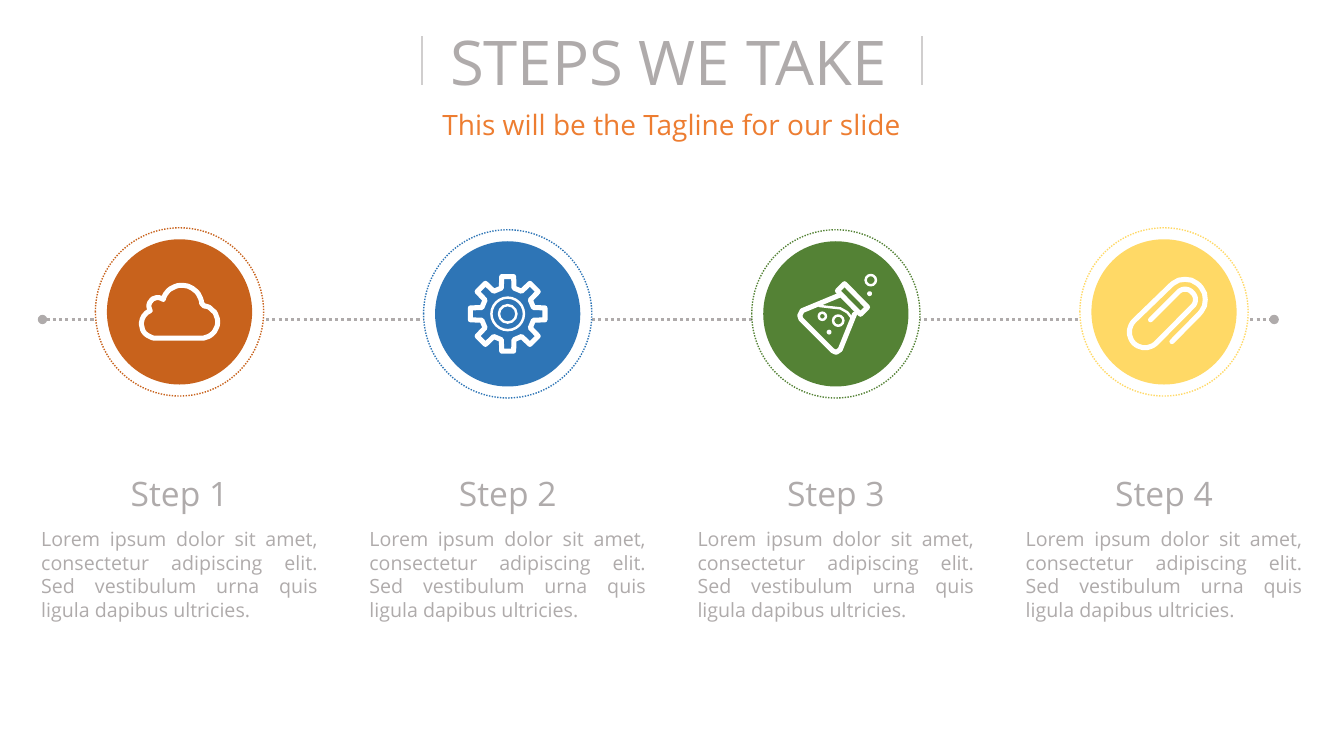
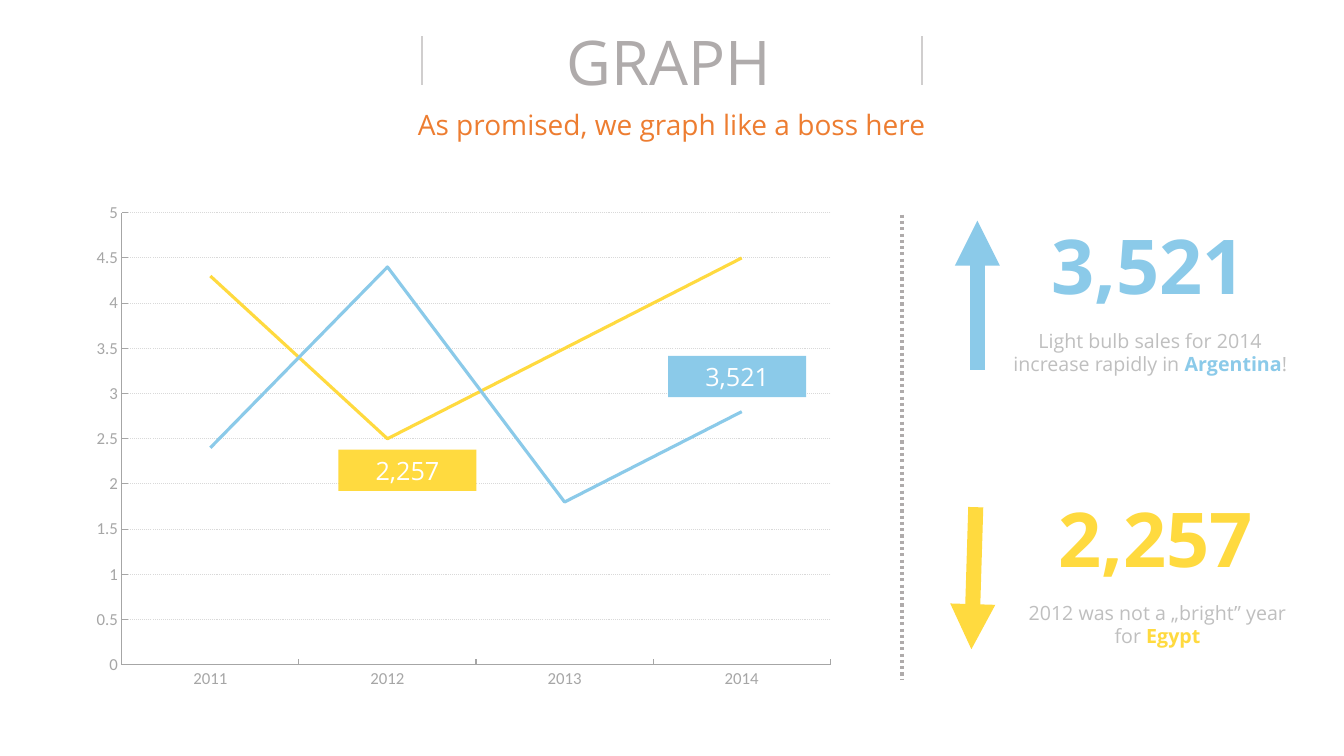
from math import cos, radians, sin

from lxml.etree import SubElement
from pptx import Presentation
from pptx.chart.data import CategoryChartData
from pptx.dml.color import RGBColor
from pptx.enum.chart import XL_CHART_TYPE as ChartType, XL_TICK_MARK as TickMark
from pptx.enum.dml import MSO_LINE as Dash
from pptx.enum.shapes import MSO_CONNECTOR as Connector, MSO_SHAPE as Shape
from pptx.enum.text import MSO_ANCHOR as Anchor, MSO_AUTO_SIZE as AutoSize, PP_ALIGN as Align
from pptx.oxml.ns import qn
from pptx.util import Cm, Pt

COLORS = {
    "grey": "AFABAB", "rule": "D0CECE", "accent": "ED7D31", "white": "FFFFFF",
    "rust": "C8621C", "blue": "2E75B6", "green": "548235", "gold": "FFD966",
    "sky": "8BCAE9", "yellow": "FFDA3F", "note": "BFBFBF",
    "axis": "A6A6A6", "grid": "D9D9D9",
}
FONT = "Open Sans"
LOREM = ("Lorem ipsum dolor sit amet, consectetur adipiscing elit. "
         "Sed vestibulum urna quis ligula dapibus ultricies.")


def color(name):
    """Return the named palette colour."""
    return RGBColor.from_string(COLORS[name])


def style_font(font, size, tint, bold=False, name=FONT):
    """Format a font."""
    font.name, font.size, font.bold = name, Pt(size), bold
    font.color.rgb = color(tint)


def style_line(line, tint, width, dash=None):
    """Format a line or outline."""
    line.color.rgb = color(tint)
    line.width = Pt(width)
    if dash:
        line.dash_style = dash


def write(frame, text, size, tint, align=Align.CENTER, anchor=Anchor.TOP, bold=False):
    """Fill a text frame with one formatted paragraph and return it."""
    frame.text = text
    frame.word_wrap = True
    frame.auto_size = AutoSize.NONE
    frame.vertical_anchor = anchor
    para = frame.paragraphs[0]
    para.alignment = align
    para.space_before = Pt(0)
    style_font(para.runs[0].font, size, tint, bold)
    return para


def add_text(page, box, *args, **options):
    """Add a text box at box (left, top, width, height in cm)."""
    frame = page.shapes.add_textbox(*map(Cm, box)).text_frame
    return write(frame, *args, **options)


def add_line(page, start, end, tint, width, dash=None, head=None, tail=None):
    """Draw a straight line between two points in cm."""
    line = page.shapes.add_connector(Connector.STRAIGHT, *map(Cm, start + end))
    style_line(line.line, tint, width, dash)
    properties = line._element.spPr
    for tag, kind in (("a:headEnd", head), ("a:tailEnd", tail)):
        if kind:
            SubElement(properties.find(qn("a:ln")), qn(tag)).set("type", kind)
    SubElement(properties, qn("a:effectLst"))


def add_shape(page, kind, box, fill=None):
    """Add a plain preset shape without an outline."""
    shape = page.shapes.add_shape(kind, *map(Cm, box))
    shape.shadow.inherit = False
    shape.line.fill.background()
    if fill:
        shape.fill.solid()
        shape.fill.fore_color.rgb = color(fill)
    else:
        shape.fill.background()
    return shape


def add_circle(page, center, radius, fill=None):
    """Add a circle around a centre in cm."""
    x, y = center
    return add_shape(page, Shape.OVAL, (x - radius, y - radius, 2 * radius, 2 * radius), fill)


def add_heading(page, title, tagline):
    """Place the title, its side rules and the tagline."""
    headline, body = page.shapes.title, page.placeholders[1]
    for holder, box in ((headline, (5.44, 0.48, 22.83, 2.13)), (body, (8.53, 2.57, 16.79, 1.12))):
        holder.left, holder.top, holder.width, holder.height = map(Cm, box)
    write(headline.text_frame, title, 44, "grey")
    properties = write(body.text_frame, tagline, 20, "accent")._p.get_or_add_pPr()
    properties.set("marL", "0")
    properties.set("indent", "0")
    SubElement(properties, qn("a:buNone"))
    for x in (10.64, 23.24):
        add_line(page, (x, 0.91), (x, 2.13), "rule", 1.5)


def polar(x, y, radius, angle):
    """Return the point at an angle in degrees around a centre."""
    return x + radius * cos(radians(angle)), y + radius * sin(radians(angle))


def arc(x, y, radius, start, end, steps=20):
    """Return points along a circular arc."""
    return [polar(x, y, radius, start + (end - start) * i / steps) for i in range(steps + 1)]


def add_stroke(page, center, points, closed=True, width=3.6):
    """Draw a white outline through points in hundredths of a cm from the centre."""
    builder = page.shapes.build_freeform(*points[0], scale=Cm(0.01))
    builder.add_line_segments(points[1:], close=closed)
    shape = builder.convert_to_shape(*map(Cm, center))
    shape.shadow.inherit = False
    shape.fill.background()
    style_line(shape.line, "white", width)
    outline = shape._element.spPr.find(qn("a:ln"))
    outline.set("cap", "rnd")
    SubElement(outline, qn("a:round"))


def add_rings(page, center, rings):
    """Draw thin white rings given as (x, y, radius) in hundredths of a cm."""
    for x, y, radius in rings:
        middle = center[0] + x / 100, center[1] + y / 100
        style_line(add_circle(page, middle, radius / 100).line, "white", 1.75)


def draw_cloud(page, center):
    """Draw the cloud icon."""
    add_stroke(page, center, arc(-60, 30, 36, 90, 235) + arc(-55, -14, 22, 150, 310)
               + arc(6, -17, 50, 205, 355) + arc(55, 25, 41, 280, 450))


def draw_gear(page, center):
    """Draw the gear icon."""
    tooth = ((67, -14), (95, -9), (95, 9), (67, 14))
    add_stroke(page, center, [polar(0, 0, radius, turn + angle)
                              for turn in range(0, 360, 45) for radius, angle in tooth])
    add_rings(page, center, [(0, 0, 41), (0, 0, 22)])


def draw_flask(page, center):
    """Draw the flask icon with its bubbles."""
    body = [(9, -47), (-85, -8), (-91, 4), (-88, 13), (-8, 93), (1, 97), (11, 90), (47, 1)]
    cap = [(4, -58), (22, -76), (80, -17), (62, 1)]
    liquid = [(-42, -20), (-17, -17), (11, -14), (29, -4), (39, 9)]
    add_stroke(page, center, body, closed=False)
    add_stroke(page, center, cap)
    add_stroke(page, center, liquid, closed=False, width=1.75)
    add_rings(page, center, [(6, 17, 13), (88, -85, 13), (-34, 6, 9), (-17, 46, 3), (85, -51, 3)])


def draw_clip(page, center):
    """Draw the paper clip icon."""
    add_stroke(page, center, [(20, 75)] + arc(53, -31, 51, 45, -135) + arc(-48, 51, 39, 225, 45)
               + arc(53, -31, 26, 45, -135) + [(-34, 20)], closed=False)


def add_step(page, left, width, badge_y, heading, tint, draw_icon):
    """Place one step column: badge, heading and paragraph."""
    center = left + width / 2, badge_y
    style_line(add_circle(page, center, 2.12, "white").line, tint, 1, Dash.ROUND_DOT)
    add_circle(page, center, 1.83, tint)
    draw_icon(page, center)
    add_text(page, (center[0] - 1.88, 11.79, 3.76, 1.27), heading, 24, "grey")
    add_text(page, (left, 13.16, width, 2.64), LOREM, 14, "grey", Align.JUSTIFY)


def build_steps(page):
    """Build the slide with four steps on a timeline."""
    add_heading(page, "STEPS WE TAKE", "This will be the Tagline for our slide")
    add_line(page, (1.07, 8.05), (32.11, 8.05), "grey", 2.25, Dash.ROUND_DOT, "oval", "oval")
    steps = (("rust", 7.86, draw_cloud), ("blue", 7.91, draw_gear),
             ("green", 7.91, draw_flask), ("gold", 7.86, draw_clip))
    for index, (tint, badge_y, draw_icon) in enumerate(steps):
        add_step(page, 0.79 + 8.27 * index, 7.47, badge_y, f"Step {index + 1}", tint, draw_icon)


def add_sales_chart(page, box):
    """Add the line chart with its axes and fixed plot area."""
    data = CategoryChartData()
    data.categories = ["2011", "2012", "2013", "2014"]
    data.add_series("Series 1", (4.3, 2.5, 3.5, 4.5))
    data.add_series("Series 2", (2.4, 4.4, 1.8, 2.8))
    chart = page.shapes.add_chart(ChartType.LINE, *map(Cm, box), data).chart
    chart.has_legend = chart.has_title = False
    style_font(chart.font, 12, "axis", name="Calibri")
    for axis in (chart.category_axis, chart.value_axis):
        axis.major_tick_mark, axis.minor_tick_mark = TickMark.INSIDE, TickMark.NONE
        style_line(axis.format.line, "axis", 0.75)
    values = chart.value_axis
    values.minimum_scale, values.maximum_scale, values.major_unit = 0, 5, 0.5
    style_line(values.major_gridlines.format.line, "grid", 0.75, Dash.ROUND_DOT)
    for series, tint in zip(chart.plots[0].series, ("yellow", "sky")):
        series.smooth = False
        style_line(series.format.line, tint, 2.25)
    plot_area = chart._chartSpace.chart.plotArea
    layout = plot_area.find(qn("c:layout"))
    if layout is None:
        layout = SubElement(plot_area, qn("c:layout"))
        plot_area.insert(0, layout)
    manual = SubElement(layout, qn("c:manualLayout"))
    for tag, value in (("layoutTarget", "inner"), ("xMode", "edge"), ("yMode", "edge"),
                       ("x", "0.05"), ("y", "0.04"), ("w", "0.93"), ("h", "0.89")):
        SubElement(manual, qn(f"c:{tag}")).set("val", value)


def add_label(page, left, top, text, tint):
    """Add a coloured value label over the chart."""
    label = add_shape(page, Shape.RECTANGLE, (left, top, 3.48, 1.04), tint)
    write(label.text_frame, text, 18, "white", anchor=Anchor.MIDDLE)


def add_callout(page, left, top, number, tint, spans, arrow):
    """Place a large number, its note and a trend arrow relative to a corner."""
    add_text(page, (left, top, 8.56, 2.06), number, 54, tint, anchor=Anchor.MIDDLE, bold=True)
    lead, *rest = spans
    para = add_text(page, (left + 0.62, top + 2.2, 7.42, 2.06), lead, 14, "note",
                    anchor=Anchor.MIDDLE)
    for index, text in enumerate(rest):
        span = para.add_run()
        span.text = text
        strong = index == 0
        style_font(span.font, 14, tint if strong else "note", strong)
    start, end = [(left + x, top + y) for x, y in arrow]
    add_line(page, start, end, tint, 10.75, tail="triangle")


def build_graph(page):
    """Build the slide with the line chart and two callouts."""
    add_heading(page, "GRAPH", "As promised, we graph like a boss here")
    add_sales_chart(page, (2.11, 4.85, 19.2, 12.8))
    add_label(page, 16.84, 8.97, "3,521", "sky")
    add_label(page, 8.53, 11.33, "2,257", "yellow")
    add_line(page, (22.73, 5.41), (22.73, 17.12), "grey", 2.25, Dash.ROUND_DOT)
    add_callout(page, 24.66, 5.64, "3,521", "sky",
                ("Light bulb sales for 2014 increase rapidly in ", "Argentina", "!"),
                ((-0.03, 3.68), (-0.03, -0.08)))
    add_callout(page, 24.84, 12.5, "2,257", "yellow",
                ("2012 was not a „bright” year for ", "Egypt"),
                ((-0.25, 0.28), (-0.36, 3.86)))


def main():
    """Build and save the deck."""
    deck = Presentation()
    deck.slide_width, deck.slide_height = Cm(33.87), Cm(19.05)
    for build in (build_steps, build_graph):
        build(deck.slides.add_slide(deck.slide_layouts[1]))
    deck.save("out.pptx")


if __name__ == "__main__":
    main()
